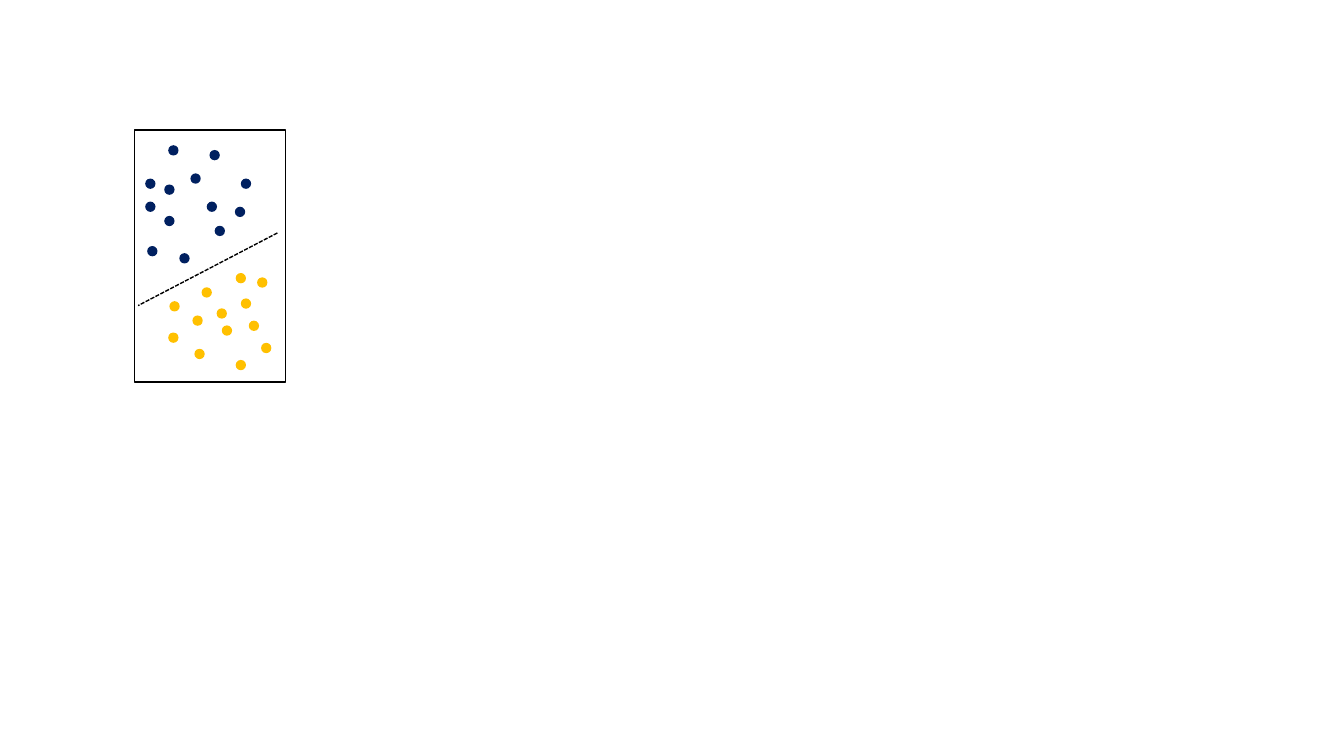
from dataclasses import dataclass

from lxml.etree import SubElement
from pptx import Presentation
from pptx.dml.color import RGBColor
from pptx.enum.dml import MSO_LINE
from pptx.enum.shapes import MSO_CONNECTOR, MSO_SHAPE
from pptx.oxml.ns import qn
from pptx.util import Cm, Pt


@dataclass(frozen=True)
class Theme:
    upper_class: RGBColor = RGBColor(0x00, 0x20, 0x60)
    lower_class: RGBColor = RGBColor(0xFF, 0xC0, 0x00)
    line: RGBColor = RGBColor(0x00, 0x00, 0x00)
    line_width: Pt = Pt(1)


THEME = Theme()
DOT_SIZE = 0.26

UPPER_DOTS = [
    (4.80, 4.37), (5.92, 5.21), (6.07, 4.50), (5.21, 5.08), (5.28, 3.78),
    (4.24, 3.66), (4.14, 4.65), (3.66, 4.50), (4.52, 6.38), (4.14, 5.44),
    (5.41, 5.69), (3.66, 5.08), (3.71, 6.20),
]
LOWER_DOTS = [
    (6.07, 7.52), (6.48, 6.99), (4.90, 8.79), (6.27, 8.08), (4.85, 7.95),
    (5.59, 8.20), (5.08, 7.24), (5.94, 9.07), (6.58, 8.64), (4.24, 8.38),
    (4.27, 7.59), (5.46, 7.77), (5.94, 6.88),
]


def style_line(line):
    line.color.rgb = THEME.line
    line.width = THEME.line_width


def add_dots(group, positions, color):
    for left, top in positions:
        dot = group.shapes.add_shape(
            MSO_SHAPE.OVAL, Cm(left), Cm(top), Cm(DOT_SIZE), Cm(DOT_SIZE))
        dot.shadow.inherit = False
        dot.fill.solid()
        dot.fill.fore_color.rgb = color
        dot.line.fill.background()


def add_boundary(group, start, end):
    boundary = group.shapes.add_connector(
        MSO_CONNECTOR.STRAIGHT, *map(Cm, start + end))
    style_line(boundary.line)
    boundary.line.dash_style = MSO_LINE.SQUARE_DOT
    SubElement(boundary._element.spPr, qn("a:effectLst"))


def add_frame(group, left, top, width, height):
    frame = group.shapes.add_shape(
        MSO_SHAPE.RECTANGLE, Cm(left), Cm(top), Cm(width), Cm(height))
    frame.shadow.inherit = False
    frame.fill.background()
    style_line(frame.line)


def main():
    presentation = Presentation()
    presentation.slide_width = Cm(33.87)
    presentation.slide_height = Cm(19.05)
    slide = presentation.slides.add_slide(presentation.slide_layouts[6])

    scatter = slide.shapes.add_group_shape()
    add_dots(scatter, UPPER_DOTS, THEME.upper_class)
    add_dots(scatter, LOWER_DOTS, THEME.lower_class)
    add_boundary(scatter, (6.99, 5.87), (3.48, 7.70))
    add_frame(scatter, 3.39, 3.28, 3.81, 6.35)

    presentation.save("out.pptx")


if __name__ == "__main__":
    main()
